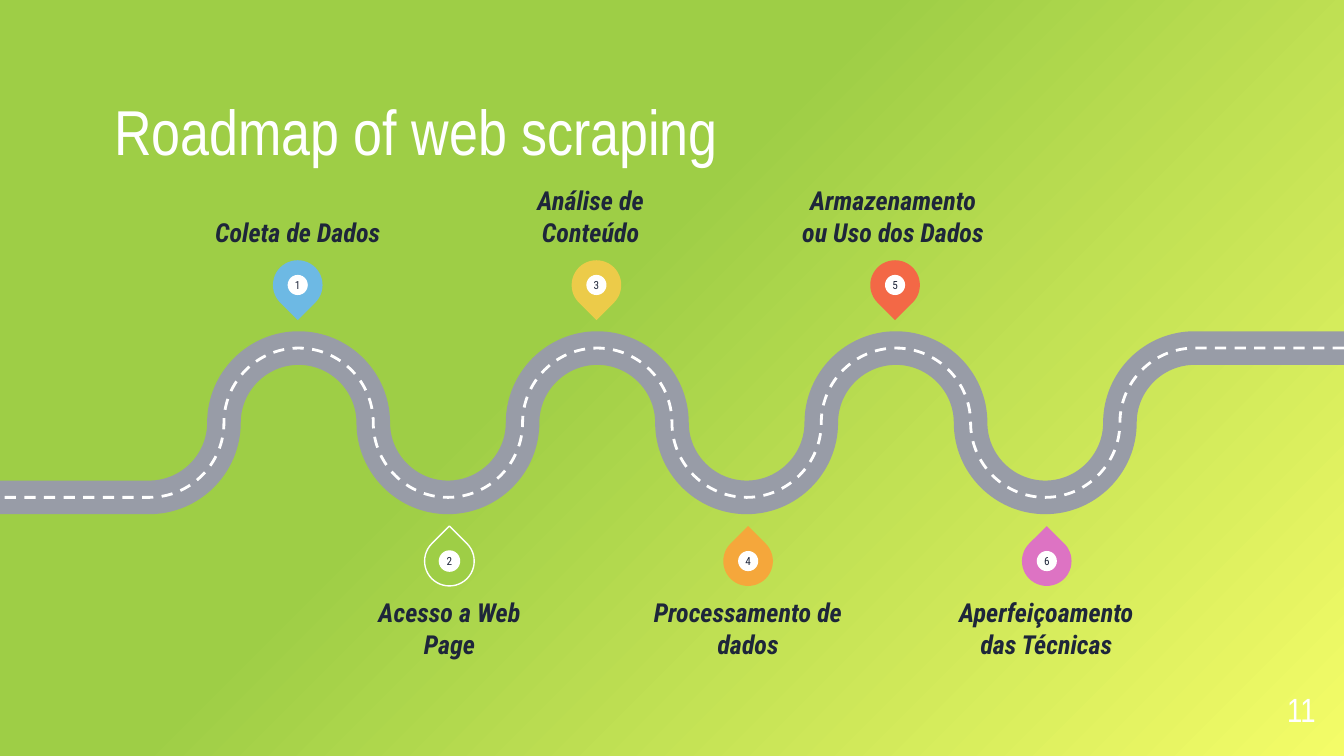
from dataclasses import dataclass
from lxml import etree
from pptx import Presentation
from pptx.dml.color import RGBColor
from pptx.enum.dml import MSO_LINE
from pptx.enum.shapes import MSO_SHAPE
from pptx.enum.text import MSO_ANCHOR, MSO_AUTO_SIZE, PP_ALIGN
from pptx.oxml import parse_xml
from pptx.oxml.ns import nsdecls, qn
from pptx.util import Pt

TEARDROP, OVAL = MSO_SHAPE.TEAR, MSO_SHAPE.OVAL
TOP, MIDDLE, BOTTOM = MSO_ANCHOR.TOP, MSO_ANCHOR.MIDDLE, MSO_ANCHOR.BOTTOM
LEFT, CENTER, RIGHT = PP_ALIGN.LEFT, PP_ALIGN.CENTER, PP_ALIGN.RIGHT


@dataclass(frozen=True)
class Theme:
    heading_font: str = "Arial Narrow"
    body_font: str = "Roboto Condensed"
    title_size: float = 34
    page_number_size: float = 18
    label_size: float = 14
    pin_size: float = 6
    white: str = "FFFFFF"
    ink: str = "1E263A"
    road: str = "989CA7"
    green: str = "9ECE46"
    yellow: str = "F4FC68"
    blue: str = "6DB9E4"
    gold: str = "ECCB49"
    orange: str = "F5A73B"
    red: str = "F36846"
    pink: str = "DD73C3"


theme = Theme()


def rgb(value):
    return RGBColor.from_string(value)


def write(shape, text, size, font, color, align, anchor, spacing=1.0, strong=False):
    frame = shape.text_frame
    frame.text = text
    frame.word_wrap = True
    frame.auto_size = MSO_AUTO_SIZE.NONE
    frame.vertical_anchor = anchor
    frame.margin_left = frame.margin_top = frame.margin_right = frame.margin_bottom = 0
    para = frame.paragraphs[0]
    para.alignment = align
    para.line_spacing = spacing
    span = para.runs[0]
    span.font.size = Pt(size)
    span.font.name = font
    span.font.color.rgb = rgb(color)
    span.font.bold = span.font.italic = strong
    return span


deck = Presentation()
deck.slide_width, deck.slide_height = Pt(720), Pt(405)
page = deck.slides.add_slide(deck.slide_layouts[5])

# Background: gradient centred on the bottom right corner
page.background.fill.solid()
solid = page.background._cSld.find(".//" + qn("a:solidFill"))
solid.getparent().replace(solid, parse_xml(
    f'<a:gradFill {nsdecls("a")} rotWithShape="1"><a:gsLst>'
    f'<a:gs pos="0"><a:srgbClr val="{theme.yellow}"/></a:gs>'
    f'<a:gs pos="58000"><a:srgbClr val="{theme.green}"/></a:gs>'
    f'<a:gs pos="100000"><a:srgbClr val="{theme.green}"/></a:gs></a:gsLst>'
    '<a:path path="circle"><a:fillToRect l="100000" t="100000"/></a:path></a:gradFill>'))

# Title with a soft text shadow
title = page.shapes.title
title.left, title.top, title.width, title.height = Pt(61.2), Pt(59.8), Pt(597.6), Pt(31)
span = write(title, "Roadmap of web scraping", theme.title_size, theme.heading_font,
             theme.white, LEFT, BOTTOM, spacing=0.9)
span._r.rPr.find(qn("a:solidFill")).addnext(parse_xml(
    f'<a:effectLst {nsdecls("a")}><a:outerShdw blurRad="38100" dist="38100" dir="2700000">'
    '<a:srgbClr val="000000"><a:alpha val="43000"/></a:srgbClr></a:outerShdw></a:effectLst>'))

# Page number
box = page.shapes.add_textbox(Pt(661.7), Pt(365.8), Pt(43.2), Pt(25.2))
write(box, "11", theme.page_number_size, theme.heading_font, theme.white,
      RIGHT, BOTTOM, spacing=0.9)

# Road outline: quarter circles from right to left, three Bezier points each
RADIUS, ROAD_TOP, ROAD_START, QUARTERS = 40, 186.5, 640, 14
HANDLE = 0.55 * RADIUS
levels = [ROAD_TOP + RADIUS * step for step in (0, 1, 2, 1)]
points = [(ROAD_START, ROAD_TOP)]
for quarter in range(QUARTERS):
    x0 = ROAD_START - RADIUS * quarter
    x1 = x0 - RADIUS
    y0, y1 = levels[quarter % 4], levels[(quarter + 1) % 4]
    pull = HANDLE if y1 > y0 else -HANDLE
    if quarter % 2 == 0:
        points += [(x0 - HANDLE, y0), (x1, y1 - pull), (x1, y1)]
    else:
        points += [(x0, y0 + pull), (x1 + HANDLE, y1), (x1, y1)]
points.append((0, ROAD_TOP + 2 * RADIUS))

# Road surface and its dashed centre line
for color, width, dash in ((theme.road, 18, None), (theme.white, 1.5, MSO_LINE.DASH)):
    builder = page.shapes.build_freeform(Pt(720), Pt(ROAD_TOP))
    builder.add_line_segments([(Pt(x), Pt(y)) for x, y in points], close=False)
    road = builder.convert_to_shape()
    road.shadow.inherit = False
    road.fill.background()
    road.line.color.rgb = rgb(color)
    road.line.width = Pt(width)
    road.line.dash_style = dash
    outline = road._element.find(".//" + qn("a:path"))
    segments = list(outline)[2:-1]
    for first in range(0, len(segments), 3):
        curve = etree.Element(qn("a:cubicBezTo"))
        segments[first].addprevious(curve)
        for segment in segments[first:first + 3]:
            curve.append(segment[0])
            outline.remove(segment)

# Steps: pin colour, label, label centre; odd steps above the road, even below
PIN, DOT, LABEL_WIDTH, LABEL_HEIGHT = 26.6, 10.8, 101.5, 41.8
steps = [
    (theme.blue, "Coleta de Dados", 159.5),
    (theme.green, "Acesso a Web Page", 240.8),
    (theme.gold, "Análise de Conteúdo", 316.4),
    (theme.orange, "Processamento de dados", 400.7),
    (theme.red, "Armazenamento ou Uso dos Dados", 478.4),
    (theme.pink, "Aperfeiçoamento das Técnicas", 560.5),
]
for number, (color, label, label_center) in enumerate(steps, start=1):
    above = number % 2 == 1
    center_x = 79.5 + 80 * number if above else 80.8 + 80 * number
    center_y = 152.7 if above else 300.6

    group = page.shapes.add_group_shape()
    pin = group.shapes.add_shape(TEARDROP, Pt(center_x - PIN / 2), Pt(center_y - PIN / 2),
                                 Pt(PIN), Pt(PIN))
    pin.rotation = 135 if above else 315
    dot = group.shapes.add_shape(OVAL, Pt(center_x - DOT / 2), Pt(center_y - DOT / 2),
                                 Pt(DOT), Pt(DOT))
    for shape, fill in ((pin, color), (dot, theme.white)):
        shape.shadow.inherit = False
        shape.fill.solid()
        shape.fill.fore_color.rgb = rgb(fill)
        if color == theme.green:
            shape.line.color.rgb = rgb(theme.white)
            shape.line.width = Pt(0.75)
        else:
            shape.line.fill.background()
    write(dot, str(number), theme.pin_size, theme.body_font, theme.ink, CENTER, MIDDLE)

    box = page.shapes.add_textbox(Pt(label_center - LABEL_WIDTH / 2),
                                  Pt(90.7 if above else 319.7),
                                  Pt(LABEL_WIDTH), Pt(LABEL_HEIGHT))
    write(box, label, theme.label_size, theme.body_font, theme.ink, CENTER,
          BOTTOM if above else TOP, strong=True)

deck.save("out.pptx")
